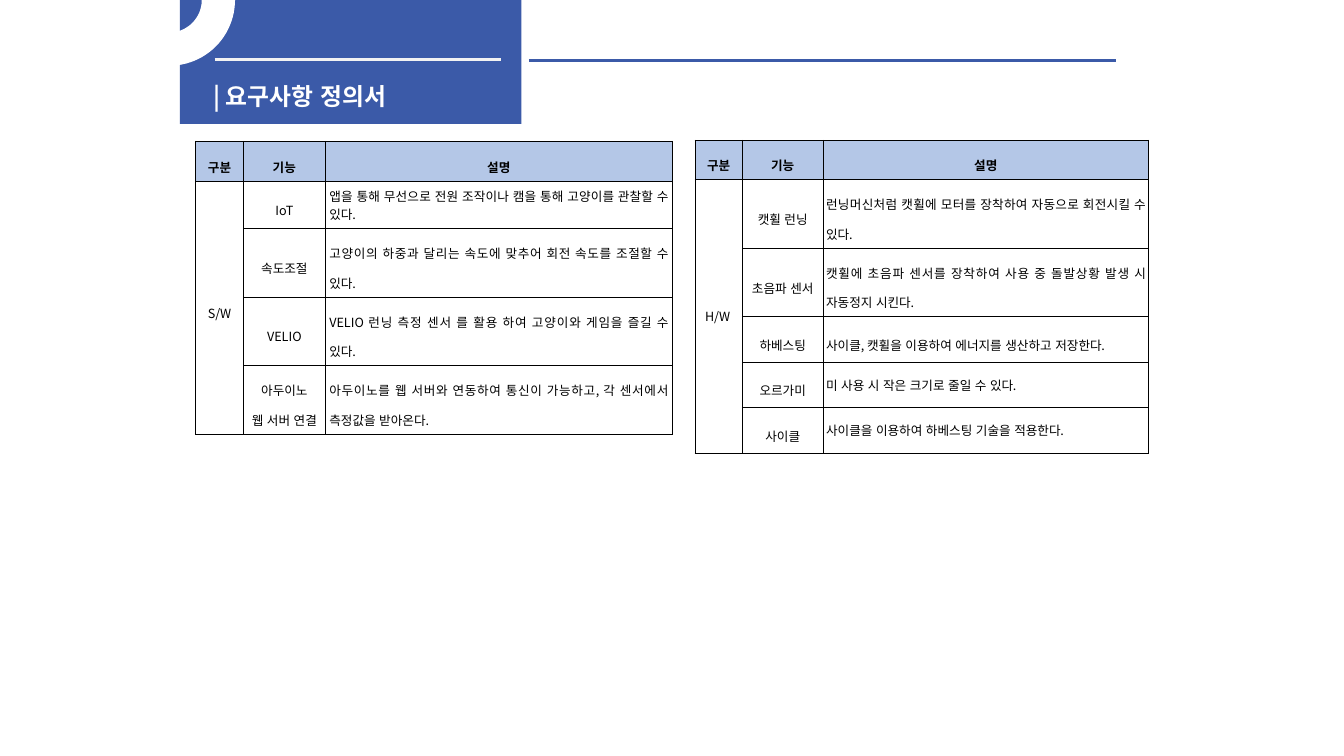
from dataclasses import dataclass
from math import cos, pi, sin

from lxml.etree import SubElement
from pptx import Presentation
from pptx.dml.color import RGBColor
from pptx.enum.lang import MSO_LANGUAGE_ID as Language
from pptx.enum.shapes import MSO_CONNECTOR as Connector, MSO_SHAPE as Shape
from pptx.enum.text import MSO_ANCHOR as Anchor, PP_ALIGN as Align
from pptx.oxml.ns import qn
from pptx.util import Inches, Pt

WIDTH, HEIGHT = Inches(13.34), Inches(7.5)
BLUE = RGBColor(0x3B, 0x5A, 0xA8)
HEADER_BLUE = RGBColor(0xB4, 0xC7, 0xE7)
PALE = RGBColor(0xF2, 0xF2, 0xF2)
WHITE = RGBColor(0xFF, 0xFF, 0xFF)
BLACK = RGBColor(0x00, 0x00, 0x00)
FONT = "Noto Sans CJK KR"
HEADINGS = ("구분", "기능", "설명")
THICK, THIN = 0.45, 0.11


@dataclass(frozen=True)
class Rule:
    start: float
    end: float
    top: float
    color: RGBColor


@dataclass(frozen=True)
class CellStyle:
    align: Align
    inset: float
    spacing: float | None = 1.6
    bold: bool = False


@dataclass(frozen=True)
class Feature:
    name: str
    description: str
    height: float
    spacing: float | None = 1.6


@dataclass(frozen=True)
class Requirements:
    group: str
    group_style: CellStyle
    left: float
    top: float
    columns: tuple[float, ...]
    header_height: float
    inset: float
    features: tuple[Feature, ...]


RULES = (Rule(15.97, 37.26, 7.87, PALE), Rule(39.36, 83.06, 8, BLUE))
TABLES = (
    Requirements("S/W", CellStyle(Align.CENTER, 0.3), 14.56, 18.67, (3.55, 6.1, 25.82), 5.3, 0.3, (
        Feature("IoT", "앱을 통해 무선으로 전원 조작이나 캠을 통해 고양이를 관찰할 수 있다.", 6.22, None),
        Feature("속도조절", "고양이의 하중과 달리는 속도에 맞추어 회전 속도를 조절할 수 있다.", 9.07),
        Feature("VELIO", "VELIO 런닝 측정 센서 를 활용 하여 고양이와 게임을 즐길 수 있다.", 9.07),
        Feature("아두이노\n웹 서버 연결", "아두이노를 웹 서버와 연동하여 통신이 가능하고, 각 센서에서 측정값을 받아온다.", 9.07),
    )),
    Requirements("H/W", CellStyle(Align.LEFT, 0.75, None), 51.71, 18.53, (3.52, 6.02, 24.21), 5.2, 0.22, (
        Feature("캣휠 런닝", "런닝머신처럼 캣휠에 모터를 장착하여 자동으로 회전시킬 수 있다.", 9.07),
        Feature("초음파 센서", "캣휠에 초음파 센서를 장착하여 사용 중 돌발상황 발생 시 자동정지 시킨다.", 9.07),
        Feature("하베스팅", "사이클, 캣휠을 이용하여 에너지를 생산하고 저장한다.", 6.03),
        Feature("오르가미", "미 사용 시 작은 크기로 줄일 수 있다.", 6.03, None),
        Feature("사이클", "사이클을 이용하여 하베스팅 기술을 적용한다.", 6.03, None),
    )),
)


def across(percent: float) -> int:
    return round(WIDTH * percent / 100)


def down(percent: float) -> int:
    return round(HEIGHT * percent / 100)


def format_runs(para, size: float, color: RGBColor, bold: bool) -> None:
    for span in para.runs:
        span.font.size, span.font.bold, span.font.name = Pt(size), bold, FONT
        span.font.color.rgb = color
        span.font.language_id = Language.KOREAN
        span.font._element.set("kern", "0")
        SubElement(span.font._element, qn("a:ea"), typeface=FONT)


def paint(shape, fill: RGBColor) -> None:
    shape.shadow.inherit = False
    shape.fill.solid()
    shape.fill.fore_color.rgb = fill


def draw_banner(page) -> None:
    banner = page.shapes.add_shape(Shape.RECTANGLE, across(13.38), 0, across(25.41), down(16.4))
    paint(banner, BLUE)
    banner.line.fill.background()


def draw_rule(page, rule: Rule) -> None:
    line = page.shapes.add_connector(
        Connector.STRAIGHT, across(rule.start), down(rule.top), across(rule.end), down(rule.top))
    line.line.color.rgb, line.line.width = rule.color, Pt(2.25)
    SubElement(line._element.spPr, qn("a:effectLst"))


def draw_title(page) -> None:
    box = page.shapes.add_textbox(across(15.14), down(10.13), across(23.01), down(4.27))
    box.text_frame.word_wrap = True
    box.text_frame.text = "| 요구사항 정의서"
    format_runs(box.text_frame.paragraphs[0], 17, WHITE, True)


def arc_points(radius: float, steps: int = 24) -> list[tuple[int, int]]:
    angles = [pi / 2 * step / steps for step in range(steps + 1)]
    return [(across(12.6 + radius * cos(angle)), across(radius * sin(angle))) for angle in angles]


def draw_quarter_ring(page) -> None:
    points = arc_points(4.84) + arc_points(2.47)[::-1]
    builder = page.shapes.build_freeform(*points[0])
    builder.add_line_segments(points[1:], close=True)
    ring = builder.convert_to_shape()
    paint(ring, WHITE)
    ring.line.color.rgb, ring.line.width = WHITE, Pt(1)


def set_borders(cell, row: int, column: int, last_row: int) -> None:
    thin_sides = {
        "L": column == 2,
        "R": column == 1,
        "T": row > 1 and column > 0,
        "B": 0 < row < last_row and column > 0,
    }
    properties = cell._tc.get_or_add_tcPr()
    for side, is_thin in thin_sides.items():
        width = Pt(THIN if is_thin else THICK)
        border = SubElement(properties, qn(f"a:ln{side}"), w=str(width))
        fill = SubElement(border, qn("a:solidFill"))
        SubElement(fill, qn("a:srgbClr"), val=str(BLACK))


def write_cell(cell, text: str, style: CellStyle) -> None:
    cell.vertical_anchor = Anchor.MIDDLE
    cell.margin_left = cell.margin_right = across(style.inset)
    cell.margin_top = cell.margin_bottom = down(0.67)
    cell.text_frame.text = text
    for para in cell.text_frame.paragraphs:
        para.alignment = style.align
        if style.spacing:
            para.line_spacing = style.spacing
        format_runs(para, 9, BLACK, style.bold)


def draw_requirements(page, spec: Requirements) -> None:
    heights = (spec.header_height, *(feature.height for feature in spec.features))
    last_row = len(spec.features)
    table = page.shapes.add_table(
        len(heights), len(spec.columns), across(spec.left), down(spec.top),
        across(sum(spec.columns)), down(sum(heights))).table
    table.first_row = table.horz_banding = False
    for column, width in zip(table.columns, spec.columns):
        column.width = across(width)
    for row, height in zip(table.rows, heights):
        row.height = down(height)
    for row in range(len(heights)):
        for column in range(len(spec.columns)):
            cell = table.cell(row, column)
            set_borders(cell, row, column, last_row)
            if row == 0:
                cell.fill.solid()
                cell.fill.fore_color.rgb = HEADER_BLUE
            else:
                cell.fill.background()
    table.cell(1, 0).merge(table.cell(last_row, 0))
    for column, heading in enumerate(HEADINGS):
        write_cell(table.cell(0, column), heading, CellStyle(Align.CENTER, spec.inset, bold=True))
    write_cell(table.cell(1, 0), spec.group, spec.group_style)
    for row, feature in enumerate(spec.features, start=1):
        write_cell(table.cell(row, 1), feature.name, CellStyle(Align.CENTER, spec.inset))
        write_cell(table.cell(row, 2), feature.description,
                   CellStyle(Align.JUSTIFY, spec.inset, feature.spacing))


def main() -> None:
    deck = Presentation()
    deck.slide_width, deck.slide_height = WIDTH, HEIGHT
    page = deck.slides.add_slide(deck.slide_layouts[6])
    draw_banner(page)
    for rule in RULES:
        draw_rule(page, rule)
    draw_title(page)
    draw_quarter_ring(page)
    for requirements in TABLES:
        draw_requirements(page, requirements)
    deck.save("out.pptx")


if __name__ == "__main__":
    main()
